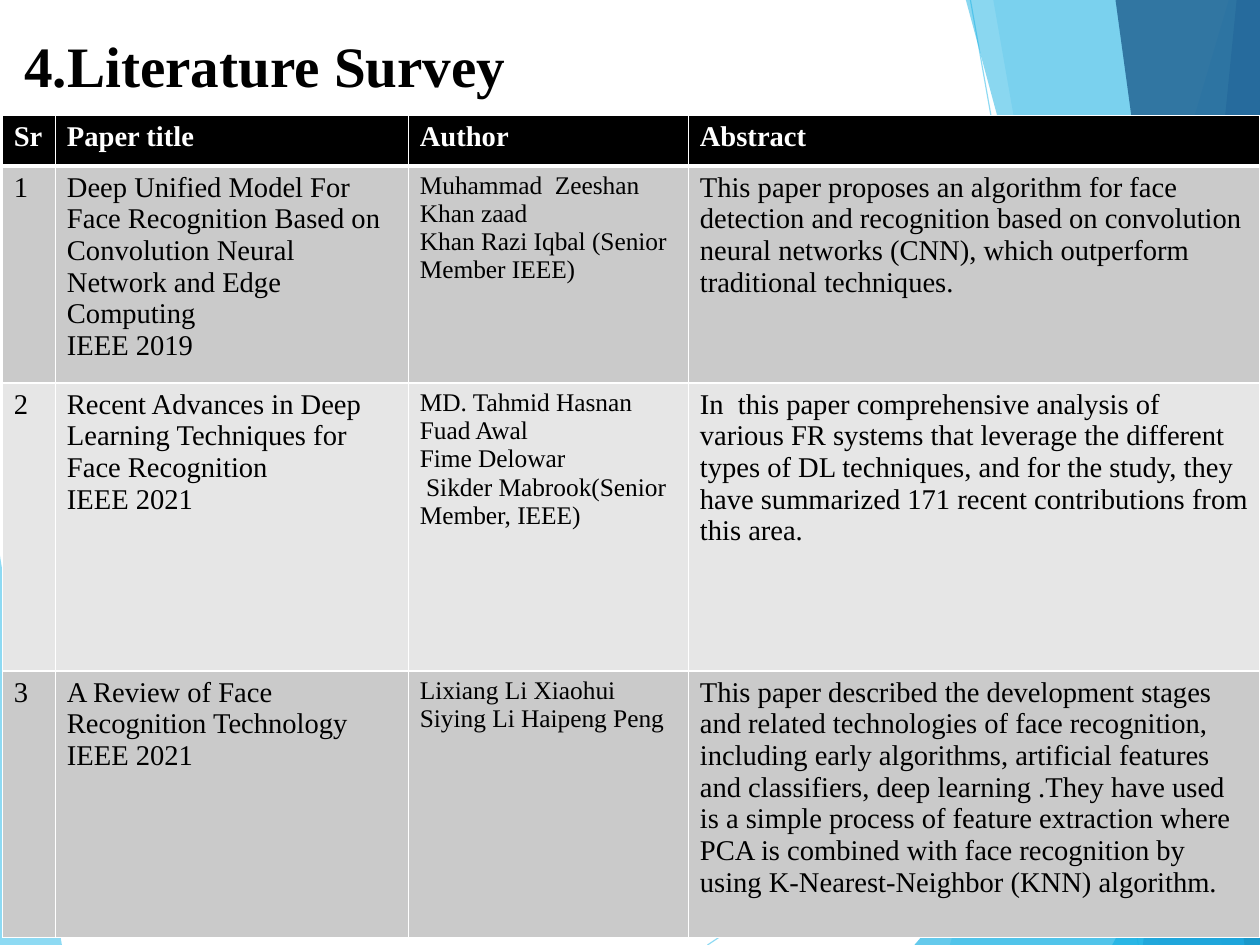
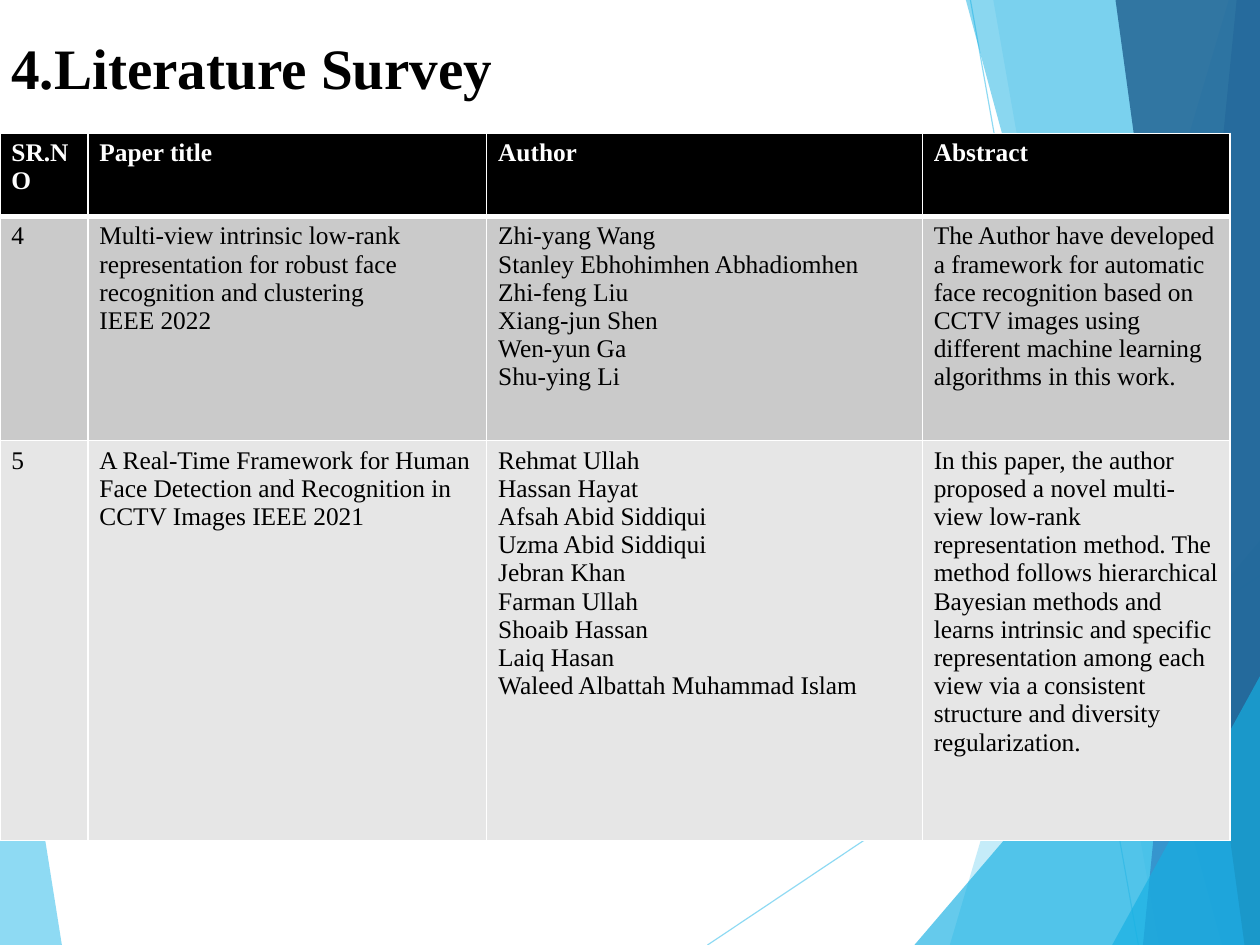
import pptx
import pptx.dml.color
import pptx.enum.shapes
import pptx.oxml.ns
import pptx.util
from lxml import etree

Pt = pptx.util.Pt
RGBColor = pptx.dml.color.RGBColor
qn = pptx.oxml.ns.qn

# Shared look
WIDTH, HEIGHT = 793.7, 595.28
FONT = "Times New Roman"
BLACK = RGBColor(0x00, 0x00, 0x00)
WHITE = RGBColor(0xFF, 0xFF, 0xFF)
BANDS = (RGBColor(0xCA, 0xCA, 0xCA), RGBColor(0xE6, 0xE6, 0xE6))
SKY = RGBColor(0x5F, 0xCB, 0xEF)
CYAN = RGBColor(0x16, 0xB0, 0xE3)
BLUE = RGBColor(0x2E, 0x83, 0xC3)
NAVY = RGBColor(0x22, 0x62, 0x92)
HEADER_BORDERS = {"L": 1, "R": 1, "T": 1, "B": 3}

# Facets, back to front: colour, opacity in percent, corners
LEFT_FACET = (SKY, 70, [(0, 350), (39, HEIGHT), (0, HEIGHT)])
RAYS = [((445.7, HEIGHT), (WIDTH, 362.5)), ((611.3, 0), (717.1, HEIGHT))]


def full_facet(color, opacity, top, bottom):
    """Facet from its slanted left edge to the right edge of the slide."""
    return color, opacity, [(top, 0), (bottom, HEIGHT), (WIDTH, HEIGHT), (WIDTH, 0)]


def corner_facet(color, opacity, bottom, right):
    """Triangle in the lower right corner of the slide."""
    return color, opacity, [(bottom, HEIGHT), (WIDTH, right), (WIDTH, HEIGHT)]


RIGHT_FACETS = [
    full_facet(SKY, 36, 774, 598.3),
    full_facet(SKY, 20, 625.7, 730),
    corner_facet(CYAN, 66, 576, 340.6),
    full_facet(CYAN, 50, 608.4, 769.7),
    full_facet(BLUE, 70, 779, 720),
    full_facet(NAVY, 82, 702.7, 784),
    corner_facet(CYAN, 66, 700.6, 426),
]

# Slide content
SURVEYS = [
    dict(
        title_at=(8.2, 15.7), table_at=(1.5, 72.8), sizes=(18, 18, 16, 18),
        columns=(33.5, 222.3, 176.4, 360), heights=(31.7, 131.8, 181.4, 167.8),
        rows=[
            ("Sr", "Paper title", "Author", "Abstract"),
            ("1",
             "Deep Unified Model For Face Recognition Based on Convolution Neural "
             "Network and Edge Computing\nIEEE 2019",
             "Muhammad  Zeeshan Khan zaad\nKhan Razi Iqbal (Senior Member IEEE)",
             "This paper proposes an algorithm for face detection and recognition "
             "based on convolution neural networks (CNN), which outperform "
             "traditional techniques."),
            ("2",
             "Recent Advances in Deep Learning Techniques for Face Recognition\n"
             "IEEE 2021",
             "MD. Tahmid Hasnan  Fuad Awal\nFime Delowar\n"
             " Sikder Mabrook(Senior Member, IEEE)",
             "In  this paper comprehensive analysis of various FR systems that "
             "leverage the different types of DL techniques, and for the study, "
             "they have summarized 171 recent contributions from this area."),
            ("3",
             "A Review of Face Recognition Technology\nIEEE 2021",
             "Lixiang Li Xiaohui\nSiying Li Haipeng Peng",
             "This paper described the development stages and related technologies "
             "of face recognition, including early algorithms, artificial features "
             "and classifiers, deep learning .They have used  is a simple process of "
             "feature extraction where PCA is combined with face recognition by "
             "using K-Nearest-Neighbor (KNN) algorithm."),
        ],
    ),
    dict(
        title_at=(0, 16.6), table_at=(0, 84), sizes=(16, 16, 16, 16),
        columns=(55.5, 251.2, 274.4, 193.8), heights=(52.4, 141.2, 252),
        rows=[
            ("SR.NO", "Paper title", "Author", "Abstract"),
            ("4",
             "Multi-view intrinsic low-rank representation for robust face "
             "recognition and clustering\nIEEE 2022",
             "Zhi-yang Wang\nStanley Ebhohimhen Abhadiomhen\nZhi-feng Liu\n"
             "Xiang-jun Shen\nWen-yun Ga\nShu-ying Li",
             "The Author have developed a framework for automatic face recognition "
             "based on CCTV images using different machine learning algorithms in "
             "this work."),
            ("5",
             "A Real-Time Framework for Human Face Detection and Recognition in "
             "CCTV Images IEEE 2021",
             "Rehmat Ullah\nHassan Hayat\nAfsah Abid Siddiqui\nUzma Abid Siddiqui\n"
             "Jebran Khan\nFarman Ullah\nShoaib Hassan\nLaiq Hasan\n"
             "Waleed Albattah Muhammad Islam",
             "In this paper, the author proposed a novel multi-view low-rank "
             "representation method. The method follows hierarchical Bayesian "
             "methods and learns intrinsic and specific representation among each "
             "view via a consistent structure and diversity regularization."),
        ],
    ),
]


def style_text(frame, size, color, bold):
    for para in frame.paragraphs:
        for span in para.runs:
            span.font.name = FONT
            span.font.size = Pt(size)
            span.font.bold = bold
            span.font.color.rgb = color


def paint(fill, color, opacity):
    fill.solid()
    fill.fore_color.rgb = color
    # Both shape fills and line fills hold one solid colour element
    element = fill._xPr.find(qn("a:solidFill")).find(qn("a:srgbClr"))
    etree.SubElement(element, qn("a:alpha"), val=str(opacity * 1000))


def add_facet(slide, color, opacity, corners):
    points = [(Pt(x), Pt(y)) for x, y in corners]
    builder = slide.shapes.build_freeform(*points[0])
    builder.add_line_segments(points[1:], close=True)
    facet = builder.convert_to_shape()
    facet.shadow.inherit = False
    facet.line.fill.background()
    paint(facet.fill, color, opacity)


def add_ray(slide, start, end):
    ray = slide.shapes.add_connector(
        pptx.enum.shapes.MSO_CONNECTOR.STRAIGHT, *map(Pt, start + end))
    ray.line.width = Pt(0.75)
    paint(ray.line.fill, SKY, 70)
    etree.SubElement(ray._element.spPr, qn("a:effectLst"))


def add_backdrop(slide):
    add_facet(slide, *LEFT_FACET)
    for start, end in RAYS:
        add_ray(slide, start, end)
    for facet in RIGHT_FACETS:
        add_facet(slide, *facet)


def add_title(slide, left, top):
    box = slide.shapes.add_textbox(Pt(left), Pt(top), Pt(550.8), Pt(114.5))
    box.text_frame.word_wrap = True
    box.text_frame.text = "4.Literature Survey"
    style_text(box.text_frame, 36, BLACK, True)


def set_header_borders(cell):
    properties = cell._tc.get_or_add_tcPr()
    for side, width in HEADER_BORDERS.items():
        border = etree.SubElement(properties, qn("a:ln" + side), w=str(Pt(width)))
        solid = etree.SubElement(border, qn("a:solidFill"))
        etree.SubElement(solid, qn("a:srgbClr"), val=str(WHITE))


def add_survey_table(slide, left, top, columns, heights, sizes, rows):
    frame = slide.shapes.add_table(
        len(rows), len(columns), Pt(left), Pt(top), Pt(sum(columns)), Pt(sum(heights)))
    table = frame.table
    for column, width in zip(table.columns, columns):
        column.width = Pt(width)
    for index, (row, height, texts) in enumerate(zip(table.rows, heights, rows)):
        row.height = Pt(height)
        header = index == 0
        for cell, text, size in zip(row.cells, texts, sizes):
            cell.text_frame.text = text
            style_text(cell.text_frame, sizes[0] if header else size,
                       WHITE if header else BLACK, header)
            if header:
                set_header_borders(cell)
            cell.fill.solid()
            cell.fill.fore_color.rgb = BLACK if header else BANDS[(index - 1) % 2]


def add_survey_slide(deck, title_at, table_at, **table):
    slide = deck.slides.add_slide(deck.slide_layouts[6])
    add_backdrop(slide)
    add_title(slide, *title_at)
    add_survey_table(slide, *table_at, **table)


def main():
    deck = pptx.Presentation()
    deck.slide_width, deck.slide_height = Pt(WIDTH), Pt(HEIGHT)
    for survey in SURVEYS:
        add_survey_slide(deck, **survey)
    deck.save("out.pptx")


if __name__ == "__main__":
    main()
